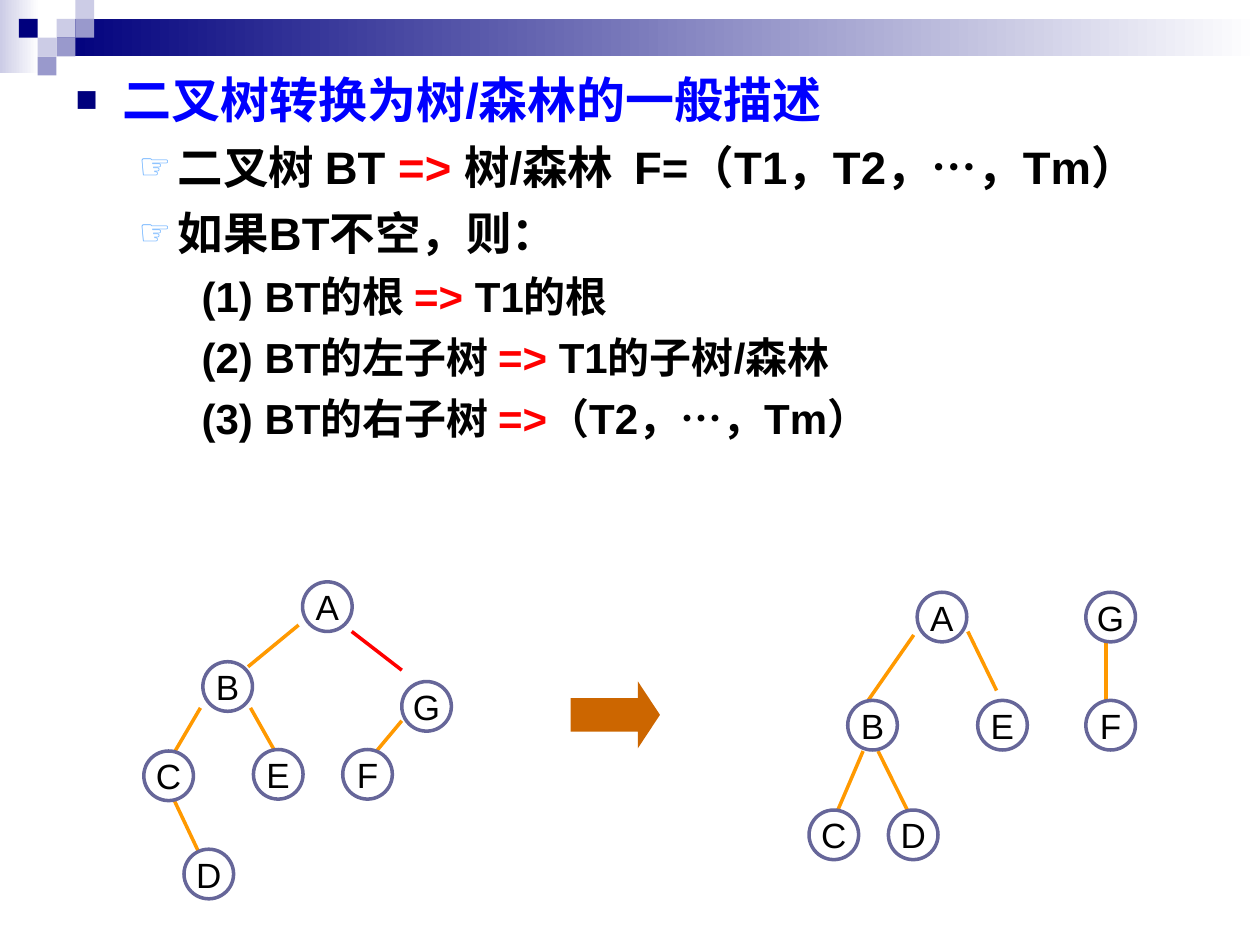
from dataclasses import dataclass

from lxml import etree
from pptx import Presentation
from pptx import util as u
from pptx.dml.color import RGBColor
from pptx.enum import shapes, text
from pptx.oxml import ns


@dataclass(frozen=True)
class Theme:
    font: str = "Arial"
    navy: str = "00007D"
    lilac: str = "CCCCE6"
    violet: str = "9999CC"
    white: str = "FFFFFF"
    black: str = "000000"
    heading: str = "0000FF"
    red: str = "FF0000"
    pointer: str = "67AFFF"
    edge: str = "FF9900"
    ring: str = "666699"
    arrow: str = "CC6600"
    node_size: int = 20
    line_width: int = 2


THEME = Theme()
LEVELS = [
    {"size": 28, "before": 0, "left": 0.95, "hanging": 0.95, "bullet": ("■", THEME.navy, 75)},
    {"size": 26, "before": 6.5, "left": 2.06, "hanging": 0.79, "bullet": ("☞", THEME.pointer, 80)},
    {"size": 24, "before": 6, "left": 3.18, "hanging": 0.64, "bullet": None},
]
OUTLINE = [
    (0, [("二叉树转换为树/森林的一般描述", THEME.heading)]),
    (1, [("二叉树 BT ", THEME.black), ("=> ", THEME.red),
         ("树/森林  F=（T1，T2，…，Tm）", THEME.black)]),
    (1, [("如果BT不空，则：", THEME.black)]),
    (2, [("(1) BT的根 ", THEME.black), ("=> ", THEME.red), ("T1的根", THEME.black)]),
    (2, [("(2) BT的左子树 ", THEME.black), ("=>", THEME.red), (" T1的子树/森林", THEME.black)]),
    (2, [("(3) BT的右子树 ", THEME.black), ("=>", THEME.red), ("（T2，…，Tm）", THEME.black)]),
]
GRID = 0.38
MOSAIC = [
    (3, 1, THEME.lilac), (4, 0, THEME.lilac), (4, 1, THEME.violet), (2, 2, THEME.lilac),
    (1, 1, THEME.navy), (3, 2, THEME.violet), (2, 3, THEME.violet),
]
NODE_DIAMETER = 1
BINARY_EDGES = [
    (6.02, 12.6, 5, 13.44, THEME.edge), (7.09, 12.73, 8.1, 13.51, THEME.red),
    (4.04, 14.27, 3.53, 15.14, THEME.edge), (5.05, 14.27, 5.54, 15.14, THEME.edge),
    (8.1, 14.53, 7.59, 15.14, THEME.edge), (3.51, 16.13, 4.04, 17.25, THEME.edge),
]
BINARY_NODES = [
    ("A", 6.1, 11.73), ("B", 4.09, 13.34), ("C", 2.9, 15.14), ("E", 5.11, 15.11),
    ("D", 3.71, 17.12), ("F", 6.91, 15.11), ("G", 8.1, 13.74),
]
FOREST_EDGES = [
    (18.42, 12.8, 17.5, 14.12, THEME.edge), (19.51, 12.73, 20.09, 13.92, THEME.edge),
    (17.4, 15.14, 16.89, 16.33, THEME.edge), (17.7, 15.14, 18.29, 16.33, THEME.edge),
    (22.3, 12.93, 22.3, 14.12, THEME.edge),
]
FOREST_NODES = [
    ("A", 18.49, 11.94), ("B", 17.09, 14.12), ("C", 16.31, 16.33), ("E", 19.71, 14.12),
    ("D", 17.91, 16.33), ("F", 21.89, 14.12), ("G", 21.89, 11.94),
]


def apply_format(target, values):
    for name, value in values.items():
        setattr(target, name, value)


def add_run(paragraph, content, color, size, bold):
    run = paragraph.add_run()
    run.text = content
    apply_format(run.font, {"name": THEME.font, "size": u.Pt(size), "bold": bold})
    run.font.color.rgb = RGBColor.from_string(color)


def add_block(slide, kind, left, top, width, height, fill):
    shape = slide.shapes.add_shape(kind, u.Cm(left), u.Cm(top), u.Cm(width), u.Cm(height))
    shape.shadow.inherit = False
    shape.fill.solid()
    shape.fill.fore_color.rgb = RGBColor.from_string(fill)
    shape.line.fill.background()
    return shape


def add_gradient(slide, left, top, width, height, start):
    shape = add_block(slide, shapes.MSO_SHAPE.RECTANGLE, left, top, width, height, start)
    shape.fill.gradient()
    shape.fill.gradient_angle = 0
    for stop, position, color in zip(shape.fill.gradient_stops, (0, 1), (start, THEME.white)):
        stop.position = position
        stop.color.rgb = RGBColor.from_string(color)


def add_banner(slide):
    add_gradient(slide, 0, 0, 0.79, 1.47, THEME.lilac)
    add_gradient(slide, 3 * GRID, GRID, 24.26, 2 * GRID, THEME.navy)
    for column, row, color in MOSAIC:
        add_block(slide, shapes.MSO_SHAPE.RECTANGLE, column * GRID, row * GRID, GRID, GRID, color)


def set_bullet(paragraph, level):
    properties = paragraph._p.get_or_add_pPr()
    properties.set("marL", str(u.Cm(level["left"])))
    properties.set("indent", str(-u.Cm(level["hanging"])))
    if level["bullet"] is None:
        etree.SubElement(properties, ns.qn("a:buNone"))
        return
    symbol, color, percent = level["bullet"]
    bullet_color = etree.SubElement(properties, ns.qn("a:buClr"))
    etree.SubElement(bullet_color, ns.qn("a:srgbClr"), val=color)
    etree.SubElement(properties, ns.qn("a:buSzPct"), val=str(percent * 1000))
    etree.SubElement(properties, ns.qn("a:buFont"), typeface=THEME.font)
    etree.SubElement(properties, ns.qn("a:buChar"), char=symbol)


def fill_outline(body):
    apply_format(body, {"left": u.Cm(1.27), "top": u.Cm(1.27),
                        "width": u.Cm(22.86), "height": u.Cm(17.78)})
    frame = body.text_frame
    apply_format(frame, {"word_wrap": True, "auto_size": text.MSO_AUTO_SIZE.NONE,
                         "vertical_anchor": text.MSO_ANCHOR.TOP})
    for index, (depth, runs) in enumerate(OUTLINE):
        paragraph = frame.add_paragraph() if index else frame.paragraphs[0]
        level = LEVELS[depth]
        set_bullet(paragraph, level)
        apply_format(paragraph, {"level": depth, "space_before": u.Pt(level["before"])})
        for content, color in runs:
            add_run(paragraph, content, color, level["size"], True)


def add_edge(slide, start_x, start_y, end_x, end_y, color):
    edge = slide.shapes.add_connector(shapes.MSO_CONNECTOR.STRAIGHT, u.Cm(start_x),
                                      u.Cm(start_y), u.Cm(end_x), u.Cm(end_y))
    edge.line.color.rgb = RGBColor.from_string(color)
    edge.line.width = u.Pt(THEME.line_width)
    etree.SubElement(edge._element.spPr, ns.qn("a:effectLst"))


def add_node(slide, label, left, top):
    node = add_block(slide, shapes.MSO_SHAPE.OVAL, left, top,
                     NODE_DIAMETER, NODE_DIAMETER, THEME.white)
    node.line.color.rgb = RGBColor.from_string(THEME.ring)
    node.line.width = u.Pt(THEME.line_width)
    apply_format(node.text_frame, {"word_wrap": False,
                                   "vertical_anchor": text.MSO_ANCHOR.MIDDLE})
    paragraph = node.text_frame.paragraphs[0]
    paragraph.alignment = text.PP_ALIGN.CENTER
    add_run(paragraph, label, THEME.black, THEME.node_size, False)


def add_tree(slide, edges, nodes):
    for edge in edges:
        add_edge(slide, *edge)
    for node in nodes:
        add_node(slide, *node)


def add_arrow(slide):
    arrow = add_block(slide, shapes.MSO_SHAPE.DOWN_ARROW, 11.73, 13.51, 1.35, 1.8, THEME.arrow)
    arrow.rotation = 270
    arrow.adjustments[0] = 0.5
    arrow.adjustments[1] = 0.33


def main():
    presentation = Presentation()
    apply_format(presentation, {"slide_width": u.Cm(25.4), "slide_height": u.Cm(19.05)})
    slide = presentation.slides.add_slide(presentation.slide_layouts[1])
    title = slide.shapes.title._element
    title.getparent().remove(title)
    fill_outline(slide.placeholders[1])
    add_banner(slide)
    add_tree(slide, BINARY_EDGES, BINARY_NODES)
    add_arrow(slide)
    add_tree(slide, FOREST_EDGES, FOREST_NODES)
    presentation.save("out.pptx")


if __name__ == "__main__":
    main()
